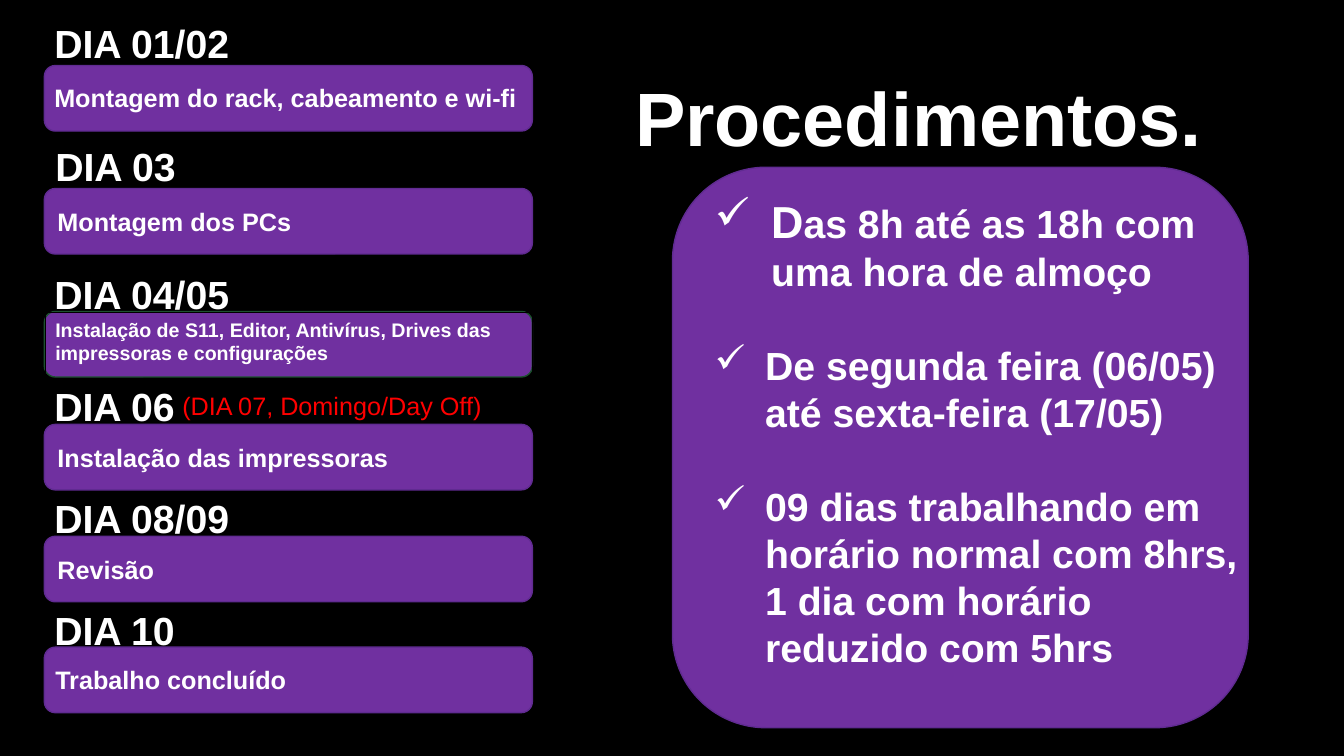
from pptx import Presentation
from pptx.dml.color import RGBColor
from pptx.enum.shapes import MSO_SHAPE as Shape
from pptx.enum.text import MSO_ANCHOR as Anchor, PP_ALIGN as Align
from pptx.oxml.ns import qn
from pptx.util import Inches, Pt
from lxml import etree

COLORS = {
    "background": "000000",
    "purple": "7030A0",
    "outline": "602B91",
    "green": "1C512F",
    "white": "FFFFFF",
    "red": "FF0000",
}
FONT = "Arial"
CARD_LEFT, CARD_WIDTH, CARD_HEIGHT = 0.44, 4.84, 0.65

# Day heading, heading left and top, card top, card outline, text inside the card
DAYS = [
    ("DIA 01/02", 0.44, 0.14, 0.65, "outline", None),
    ("DIA 03", 0.45, 1.36, 1.87, "outline", "Montagem dos PCs"),
    ("DIA 04/05", 0.44, 2.63, 3.09, "green", None),
    ("DIA 06", 0.44, 3.74, 4.21, "outline", "Instalação das impressoras"),
    ("DIA 08/09", 0.44, 4.85, 5.32, "outline", "Revisão"),
    ("DIA 10", 0.44, 5.97, 6.42, "outline", None),
]

# Bullet indent in inches, then runs of text and size
PROCEDURES = [
    (0.56, [("D", 32), ("as 8h até as 18h com uma hora de almoço", 28)]),
    (0.5, [("De segunda feira (06/05) até sexta-feira (17/05)", 28)]),
    (0.5, [("09 dias trabalhando em horário normal com 8hrs, "
            "1 dia com horário reduzido com 5hrs", 28)]),
]


def rgb(name):
    return RGBColor.from_string(COLORS[name])


def add_run(paragraph, text, size, color="white", bold=True):
    run = paragraph.add_run()
    run.text = text
    style = {"name": FONT, "size": Pt(size), "bold": bold}
    for attribute, value in style.items():
        setattr(run.font, attribute, value)
    run.font.color.rgb = rgb(color)


def add_text(slide, box, text, size, color="white", bold=True):
    shape = slide.shapes.add_textbox(*map(Inches, box))
    shape.text_frame.word_wrap = True
    add_run(shape.text_frame.paragraphs[0], text, size, color, bold)
    return shape


def add_card(slide, box, outline="outline", text=None):
    shape = slide.shapes.add_shape(Shape.ROUNDED_RECTANGLE, *map(Inches, box))
    shape.shadow.inherit = False
    shape.fill.solid()
    shape.fill.fore_color.rgb = rgb("purple")
    shape.line.color.rgb = rgb(outline)
    shape.line.width = Pt(1)
    if text:
        shape.text_frame.vertical_anchor = Anchor.MIDDLE
        paragraph = shape.text_frame.paragraphs[0]
        paragraph.alignment = Align.LEFT
        add_run(paragraph, text, 18)


def add_check_bullet(paragraph, indent):
    properties = paragraph._p.get_or_add_pPr()
    properties.set("marL", str(Inches(indent)))
    properties.set("indent", str(-Inches(indent)))
    etree.SubElement(properties, qn("a:buChar")).set("char", "✓")


def add_procedures(slide, box):
    shape = slide.shapes.add_textbox(*map(Inches, box))
    frame = shape.text_frame
    frame.word_wrap = True
    for index, (indent, runs) in enumerate(PROCEDURES):
        paragraph = frame.add_paragraph() if index else frame.paragraphs[0]
        if index:
            paragraph.space_before = Pt(33.6)
        add_check_bullet(paragraph, indent)
        for text, size in runs:
            add_run(paragraph, text, size)


def main():
    presentation = Presentation()
    presentation.slide_width = Inches(13.33)
    presentation.slide_height = Inches(7.5)
    slide = presentation.slides.add_slide(presentation.slide_layouts[6])
    slide.background.fill.solid()
    slide.background.fill.fore_color.rgb = rgb("background")

    # Schedule on the left: cards first, headings above them
    for _, _, _, top, outline, task in DAYS:
        add_card(slide, (CARD_LEFT, top, CARD_WIDTH, CARD_HEIGHT), outline, task)
    for heading, left, top, _, _, _ in DAYS:
        add_text(slide, (left, top, 2.3, 0.57), heading, 28)

    # Labels laid over the remaining cards
    add_text(slide, (0.44, 0.77, 4.84, 0.4),
             "Montagem do rack, cabeamento e wi-fi", 18)
    setup = add_text(slide, (0.45, 3.1, 4.83, 0.77),
                     "Instalação de S11, Editor, Antivírus, Drives das "
                     "impressoras e configurações", 14)
    setup.line.color.rgb = rgb("background")
    setup.line.width = Pt(0.75)
    add_text(slide, (0.45, 6.54, 3.03, 0.42), "Trabalho concluído", 18)
    add_text(slide, (1.71, 3.82, 3.24, 0.4),
             "(DIA 07, Domingo/Day Off)", 18, "red", False)

    # Procedures on the right
    add_text(slide, (6.2, 0.65, 7.13, 1.01), "Procedimentos.", 54)
    add_card(slide, (6.67, 1.66, 5.71, 5.56))
    add_procedures(slide, (6.99, 1.87, 5.39, 5.35))

    presentation.save("out.pptx")


if __name__ == "__main__":
    main()
